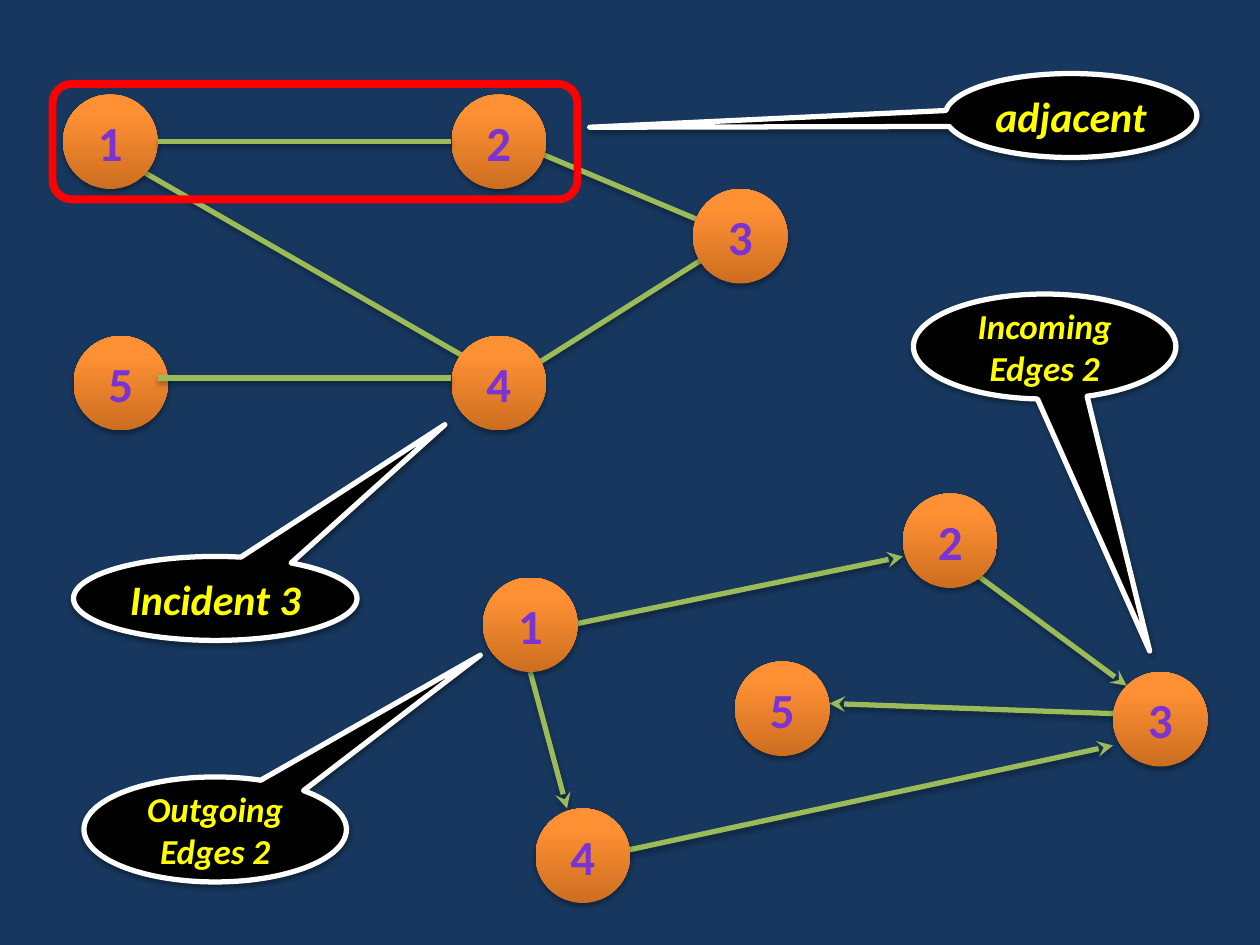
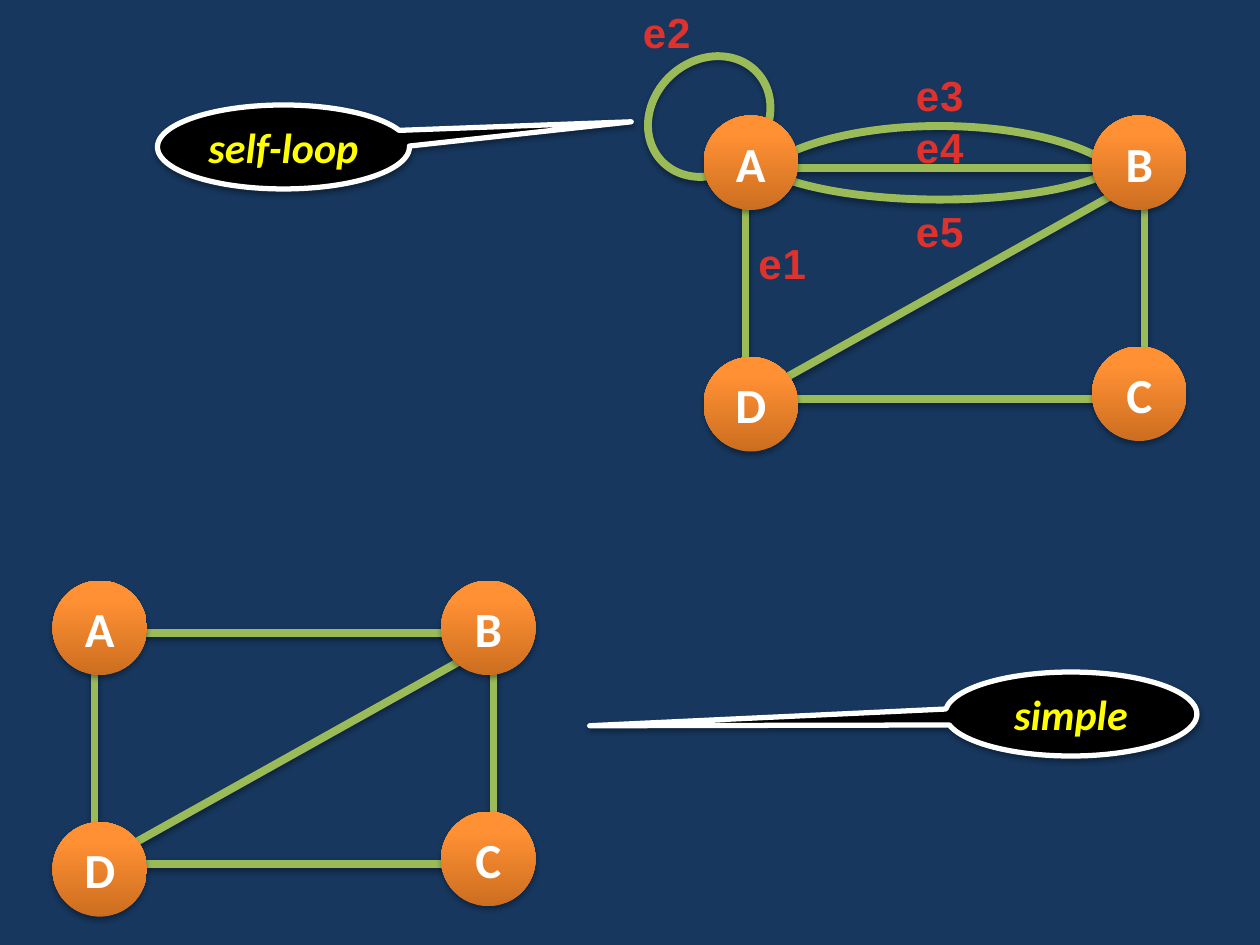
from lxml.etree import SubElement
from pptx import Presentation
from pptx.dml.color import RGBColor
from pptx.enum.shapes import MSO_CONNECTOR, MSO_SHAPE
from pptx.enum.text import MSO_ANCHOR, MSO_AUTO_SIZE, PP_ALIGN
from pptx.oxml import parse_xml
from pptx.oxml.ns import nsdecls, qn
from pptx.util import Inches, Pt

COLORS = {
    "background": "17375E",
    "edge": "9BBB59",
    "callout": "000000",
    "outline": "FFFFFF",
    "callout_text": "FFFF00",
    "letter": "FFFFFF",
    "number_outline": "5E457C",
    "highlight": "FF0000",
    "shadow": "000000",
}
NODE_STOPS = [(0, "CC6E20"), (80, "FF9034"), (100, "FF9136")]
NUMBER_STOPS = [(0, "3D1B67"), (43, "7B34D2"), (48, "7330C4"), (100, "3D1B67")]
LABEL_STOPS = [(25, "E0322D"), (100, "A2201C")]
NODE_SIZE = 9


def cell(count):
    return Inches(count / 12)


def cells(*counts):
    return [cell(count) for count in counts]


def color(name):
    return RGBColor.from_string(COLORS[name])


def gradient(stops, angle):
    stop_xml = "".join(
        f'<a:gs pos="{position * 1000}"><a:srgbClr val="{value}"/></a:gs>'
        for position, value in stops
    )
    return parse_xml(
        f'<a:gradFill {nsdecls("a")} rotWithShape="1"><a:gsLst>{stop_xml}</a:gsLst>'
        f'<a:lin ang="{angle * 60000}" scaled="0"/></a:gradFill>'
    )


def add_shadow(shape, distance=1.8, opacity=35):
    shape._element.spPr.append(parse_xml(
        f'<a:effectLst {nsdecls("a")}><a:outerShdw blurRad="{Pt(3.15)}" '
        f'dist="{Pt(distance)}" dir="5400000" rotWithShape="0">'
        f'<a:srgbClr val="{COLORS["shadow"]}"><a:alpha val="{opacity * 1000}"/>'
        "</a:srgbClr></a:outerShdw></a:effectLst>"
    ))


def set_line(shape, name, width):
    shape.line.color.rgb = color(name)
    shape.line.width = Pt(width)


def write(shape, text, size, font="Calibri", italic=False):
    frame = shape.text_frame
    frame.text = text
    runs = []
    for paragraph in frame.paragraphs:
        paragraph.alignment = PP_ALIGN.CENTER
        for run in paragraph.runs:
            run.font.name = font
            run.font.size = Pt(size)
            run.font.bold = True
            run.font.italic = italic
            runs.append(run)
    return runs


def color_number(run):
    properties = run.font._element
    properties.insert(0, gradient(NUMBER_STOPS, 90))
    properties.insert(0, parse_xml(
        f'<a:ln {nsdecls("a")} w="{Pt(0.71)}"><a:solidFill>'
        f'<a:srgbClr val="{COLORS["number_outline"]}"/></a:solidFill></a:ln>'
    ))


def add_node(shapes, text, left, top):
    node = shapes.add_shape(MSO_SHAPE.OVAL, *cells(left, top, NODE_SIZE, NODE_SIZE))
    node._element.spPr.insert(2, gradient(NODE_STOPS, 270))
    node.line.fill.background()
    add_shadow(node)
    node.text_frame.vertical_anchor = MSO_ANCHOR.MIDDLE
    run, = write(node, text, 28)
    if text.isdigit():
        color_number(run)
    else:
        run.font.color.rgb = color("letter")


def add_edge(shapes, ends, width, arrow=False):
    edge = shapes.add_connector(MSO_CONNECTOR.STRAIGHT, *cells(*ends))
    set_line(edge, "edge", width)
    if arrow:
        line = edge._element.spPr.find(qn("a:ln"))
        SubElement(line, qn("a:tailEnd"), type="stealth")
    add_shadow(edge)


def add_arc(shapes, box, rotation, flips, angles):
    arc = shapes.add_shape(MSO_SHAPE.ARC, *cells(*box))
    arc.rotation = rotation
    for flip in flips:
        arc._element.spPr.find(qn("a:xfrm")).set(flip, "1")
    for index, angle in enumerate(angles):
        arc.adjustments[index] = angle
    arc.fill.background()
    set_line(arc, "edge", 4.5)
    add_shadow(arc)


def add_callout(slide, text, box, pointer, size=24):
    callout = slide.shapes.add_shape(MSO_SHAPE.OVAL_CALLOUT, *cells(*box))
    for index, share in enumerate(pointer):
        callout.adjustments[index] = share
    callout.fill.solid()
    callout.fill.fore_color.rgb = color("callout")
    set_line(callout, "outline", 3)
    add_shadow(callout, 1.57, 38)
    callout.text_frame.vertical_anchor = MSO_ANCHOR.MIDDLE
    for run in write(callout, text, size, italic=True):
        run.font.color.rgb = color("callout_text")


def add_highlight(slide, box):
    highlight = slide.shapes.add_shape(MSO_SHAPE.ROUNDED_RECTANGLE, *cells(*box))
    highlight.shadow.inherit = False
    highlight.fill.background()
    set_line(highlight, "highlight", 4.5)


def add_label(slide, text, left, top):
    label = slide.shapes.add_textbox(*cells(left, top, 7, 6))
    label.text_frame.word_wrap = False
    label.text_frame.auto_size = MSO_AUTO_SIZE.SHAPE_TO_FIT_TEXT
    run, = write(label, text, 24, "Arial")
    run.font._element.set("spc", "50")
    run.font._element.insert(0, gradient(LABEL_STOPS, 90))


def add_graph(slide, edges, nodes, front_edges=(), width=3, arrow=False):
    shapes = slide.shapes.add_group_shape().shapes
    for ends in edges:
        add_edge(shapes, ends, width, arrow)
    for node in nodes:
        add_node(shapes, *node)
    for ends in front_edges:
        add_edge(shapes, ends, width, arrow)


def add_square_graph(slide, across=0, down=0, arcs=()):
    shapes = slide.shapes.add_group_shape().shapes
    for arc in arcs:
        add_arc(shapes, *arc)
    edges = [(107, 18, 73, 37), (109, 19, 109, 34), (71, 19, 71, 34),
             (74, 38, 106, 38), (74, 16, 106, 16)]
    for x1, y1, x2, y2 in edges:
        add_edge(shapes, (x1 + across, y1 + down, x2 + across, y2 + down), 4.5)
    for text, left, top in [("A", 67, 11), ("C", 104, 33), ("B", 104, 11), ("D", 67, 34)]:
        add_node(shapes, text, left + across, top + down)


def build_degrees(slide):
    add_graph(
        slide,
        [(49, 36, 68, 24), (13, 16, 46, 35), (50, 14, 69, 22)],
        [("1", 6, 9), ("5", 7, 32), ("4", 43, 32), ("3", 66, 18), ("2", 43, 9)],
        front_edges=[(15, 13.5, 43, 13.5), (15, 36, 43, 36)],
    )
    add_graph(
        slide,
        [(52, 60, 86, 53), (55, 82, 106, 71), (107, 68, 79, 67),
         (50.5, 64, 54, 77), (92, 54, 107.3, 65.3)],
        [("1", 46, 55), ("5", 70, 63), ("4", 51, 77), ("3", 106, 64), ("2", 86, 47)],
        arrow=True,
    )
    add_callout(slide, "adjacent", (90, 7, 24, 8), (-1.91, 0.14))
    add_callout(slide, "Incident 3", (7, 53, 27, 8), (0.81, -2.07))
    add_callout(slide, "Outgoing Edges 2", (8, 74, 25, 10), (1.01, -1.66), 20)
    add_highlight(slide, (5, 8, 50, 11))
    add_callout(slide, "Incoming\nEdges 2", (87, 28, 25, 10), (0.4, 2.9), 20)


def build_multigraph(slide):
    half = (162, 52.35)
    add_square_graph(slide, arcs=[
        ((84.5, -4.5, 10, 37), 90, ["flipV"], half),
        ((82.5, 0.5, 14, 37), 90, ["flipH", "flipV"], half),
        ((62.2, 4.9, 10.7, 12.4), 47.8, ["flipH", "flipV"], (128.32, 104.07)),
    ])
    for label in [("e1", 71, 22), ("e2", 60, 0), ("e3", 86, 6), ("e5", 86, 19), ("e4", 86, 11)]:
        add_label(slide, *label)
    add_square_graph(slide, across=-62, down=44.3)
    add_callout(slide, "self-loop", (15, 10, 24, 8), (1.38, -0.3))
    add_callout(slide, "simple", (90, 64, 24, 8), (-1.91, 0.14))


def main():
    presentation = Presentation()
    presentation.slide_width = cell(120)
    presentation.slide_height = cell(90)
    background = presentation.slide_master.background.fill
    background.solid()
    background.fore_color.rgb = color("background")
    for build in (build_degrees, build_multigraph):
        build(presentation.slides.add_slide(presentation.slide_layouts[6]))
    presentation.save("out.pptx")


main()
